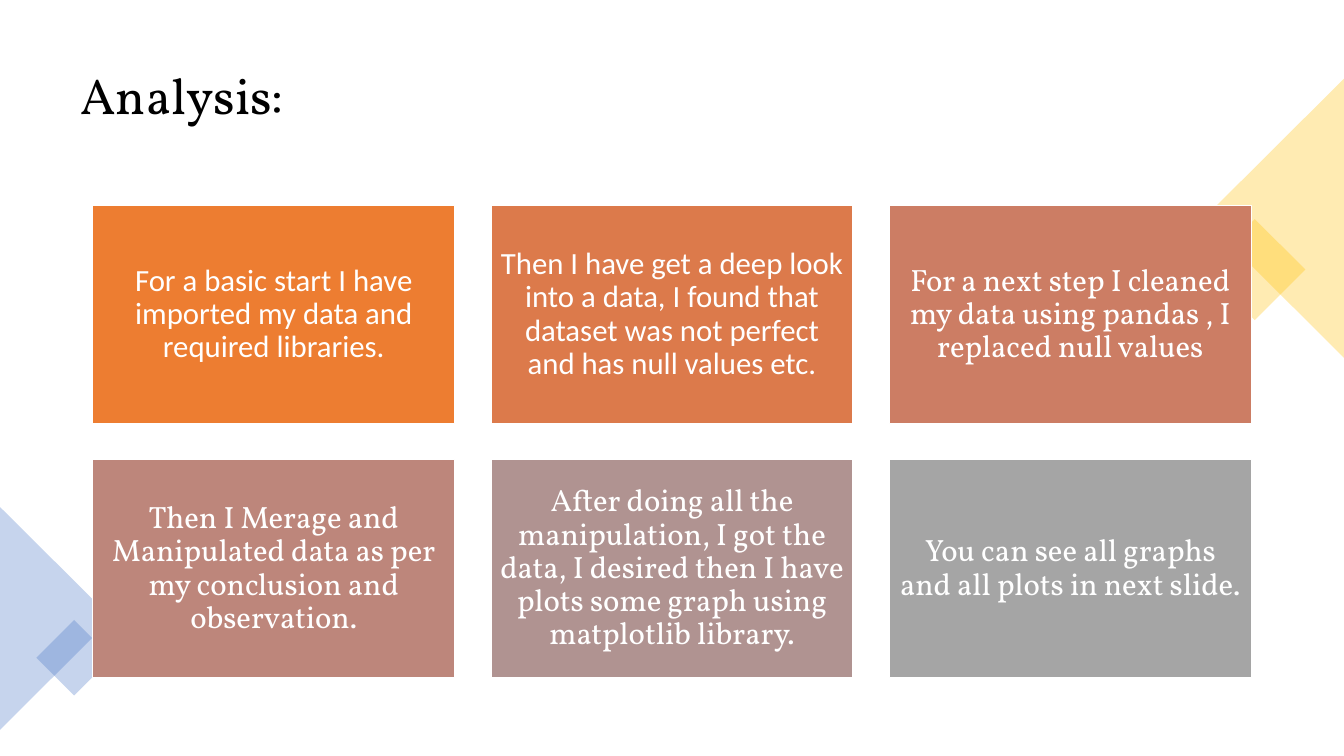
from lxml import etree
from pptx import Presentation
from pptx.dml.color import RGBColor
from pptx.enum.shapes import MSO_SHAPE
from pptx.enum.text import MSO_ANCHOR, PP_ALIGN
from pptx.oxml.ns import qn
from pptx.util import Inches, Pt

RECT, TRIANGLE = MSO_SHAPE.RECTANGLE, MSO_SHAPE.ISOSCELES_TRIANGLE
MIDDLE = MSO_ANCHOR.MIDDLE
LEFT, CENTER = PP_ALIGN.LEFT, PP_ALIGN.CENTER

THEME = {
    "serif": "Vollkorn", "sans": "Calibri",
    "title_size": 36, "card_size": 22,
    "black": "000000", "white": "FFFFFF",
    "gold": "FFC000", "blue": "4472C4",
    "cards": ["ED7D31", "DC7A4B", "CC7D64", "BD867B", "B09391", "A5A5A5"],
}
COLS = 3
GRID_LEFT, GRID_TOP = 0.92, 2.04
CARD_W, CARD_H, GAP = 3.59, 2.16, 0.36


def add_panel(kind, x, y, w, h, color):
    sp = s.shapes.add_shape(kind, Inches(x), Inches(y), Inches(w), Inches(h))
    sp.shadow.inherit = False
    sp.fill.solid()
    sp.fill.fore_color.rgb = RGBColor.from_string(color)
    sp.line.fill.background()
    return sp


def write(tf, text, font, size, color, align):
    tf.word_wrap = True
    tf.vertical_anchor = MIDDLE
    p = tf.paragraphs[0]
    p.alignment = align
    p.line_spacing = 0.9
    r = p.add_run()
    r.text = text
    r.font.name = font
    r.font.size = Pt(size)
    r.font.color.rgb = RGBColor.from_string(color)


prs = Presentation()
prs.slide_width, prs.slide_height = Inches(13.33), Inches(7.5)
s = prs.slides.add_slide(prs.slide_layouts[6])

# Title
title = s.shapes.add_textbox(Inches(0.7), Inches(0.35), Inches(11.93), Inches(1.24))
write(title.text_frame, "Analysis:", THEME["serif"], THEME["title_size"],
      THEME["black"], LEFT)

# Translucent corner ornaments
ornaments = [
    (RECT, 12.09, 2.32, 0.71, 0.71, 45, "gold"),
    (TRIANGLE, 11.25, 1.47, 2.77, 1.39, 270, "gold"),
    (TRIANGLE, -0.55, 5.58, 2.21, 1.11, 90, "blue"),
    (RECT, 0.47, 6.26, 0.53, 0.53, 45, "blue"),
]
for kind, x, y, w, h, angle, color in ornaments:
    sp = add_panel(kind, x, y, w, h, THEME[color])
    sp.rotation = angle
    rgb = next(sp.fill._xPr.iter(qn("a:srgbClr")))
    etree.SubElement(rgb, qn("a:alpha"), val="30000")

# Step cards; non-breaking spaces hold the line breaks in place
steps = [
    ("sans", "For a basic start I have imported my data and required libraries."),
    ("sans", "Then I have get a deep look into a data, I found that dataset "
             "was not perfect and has null values etc."),
    ("serif", "For a next step I cleaned my data using pandas , I "
              "replaced null values"),
    ("serif", "Then I Merage and Manipulated data as per my conclusion "
              "and observation."),
    ("serif", "After doing all the manipulation, I got the data, I "
              "desired then I have plots some graph using matplotlib library."),
    ("serif", "You can see all graphs and all plots in next slide."),
]
for i, ((font, text), color) in enumerate(zip(steps, THEME["cards"])):
    row, col = divmod(i, COLS)
    card = add_panel(RECT, GRID_LEFT + col * (CARD_W + GAP),
                     GRID_TOP + row * (CARD_H + GAP), CARD_W, CARD_H, color)
    card.line.color.rgb = RGBColor.from_string(THEME["white"])
    card.line.width = Pt(1)
    tf = card.text_frame
    tf.margin_left = tf.margin_right = tf.margin_top = tf.margin_bottom = Inches(0.09)
    write(tf, text, THEME[font], THEME["card_size"], THEME["white"], CENTER)

prs.save("out.pptx")
